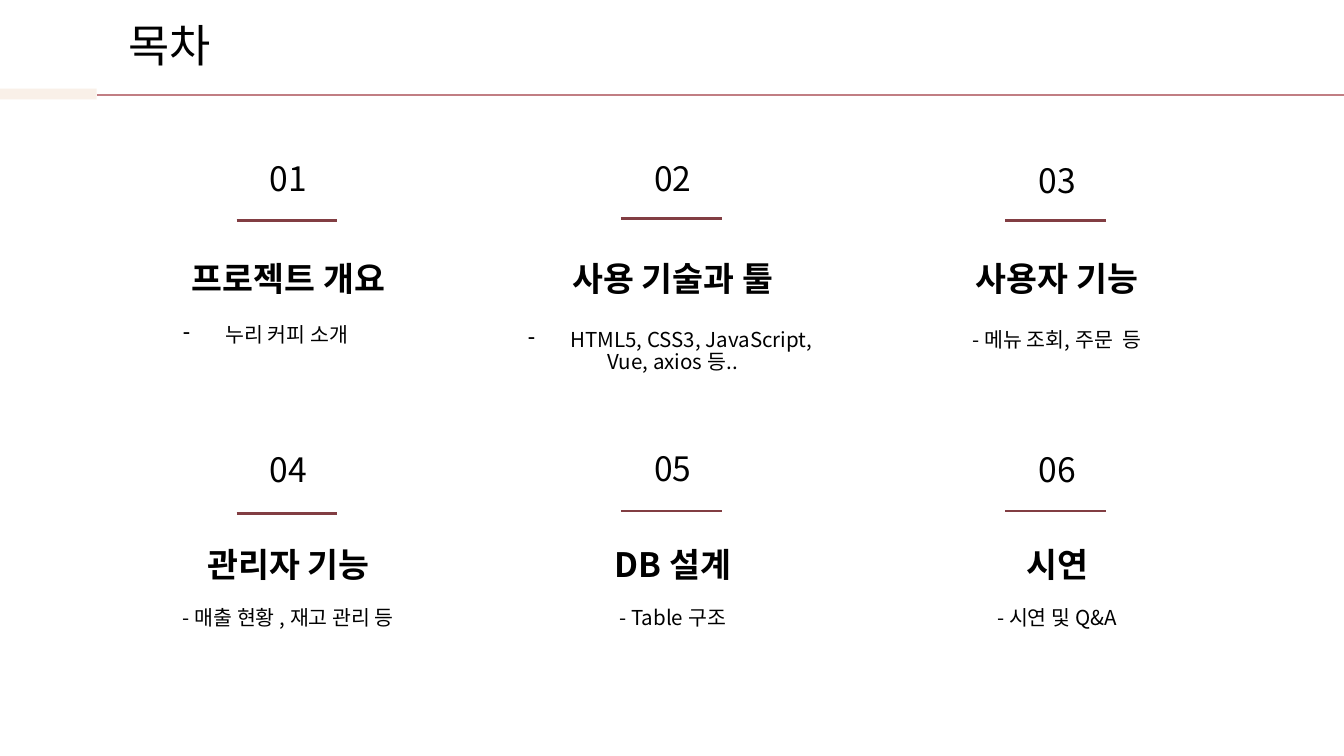
from lxml import etree
from pptx import Presentation
from pptx.dml.color import RGBColor
from pptx.enum.shapes import MSO_CONNECTOR, MSO_SHAPE
from pptx.enum.text import MSO_ANCHOR, PP_ALIGN
from pptx.oxml.ns import qn
from pptx.util import Pt

CENTER = PP_ALIGN.CENTER
TOP = MSO_ANCHOR.TOP
STRAIGHT = MSO_CONNECTOR.STRAIGHT
RECTANGLE = MSO_SHAPE.RECTANGLE

BLACK = RGBColor(0x00, 0x00, 0x00)
WINE = RGBColor(0x82, 0x3E, 0x43)
ROSE = RGBColor(0xC1, 0x7E, 0x83)
CREAM = RGBColor(0xF9, 0xF0, 0xE8)
FONT = "Noto Sans CJK KR"

TITLE_FORMAT = {"size": Pt(24), "bold": False}
NUMBER_FORMAT = {"size": Pt(18), "bold": False}
HEADING_FORMAT = {"size": Pt(18), "bold": True}
DETAIL_FORMAT = {"size": Pt(11), "bold": False}

# Contents: heading, detail lines, whether the detail is a bullet,
# top of the number, rule and detail
ITEMS = [
    ("프로젝트 개요", ["누리 커피 소개 "], True, 80.6, 118, 168.5),
    ("사용 기술과 툴", ["HTML5, CSS3, JavaScript, ", "Vue, axios 등.."], True, 80.6, 117.2, 170),
    ("사용자 기능", ["- 메뉴 조회, 주문  등"], False, 81.2, 118.3, 171.4),
    ("관리자 기능", ["- 매출 현황 , 재고 관리 등"], False, 236.2, 275, 320.4),
    ("DB 설계", ["- Table 구조"], False, 235.5, 273.8, 320.4),
    ("시연", ["- 시연 및 Q&A"], False, 236.2, 273.8, 320.4),
]
HEADING_TOPS = [134, 287.3]
COLUMNS = 3
COLUMN_LEFT, COLUMN_STEP, COLUMN_WIDTH = 57, 205.9, 195
NUMBER_WIDTH, RULE_WIDTH = 126, 54


def write_text(shape, box, lines, font_format, bullet=False):
    shape.left, shape.top, shape.width, shape.height = [Pt(length) for length in box]
    frame = shape.text_frame
    frame.word_wrap = True
    frame.vertical_anchor = TOP
    for side in ("left", "top", "right", "bottom"):
        setattr(frame, f"margin_{side}", Pt(7.2))
    frame.text = "\n".join(lines)
    for index, paragraph in enumerate(frame.paragraphs):
        paragraph.alignment = CENTER
        paragraph.line_spacing = 0.87
        paragraph.space_before = Pt(0)
        if bullet and index == 0:
            properties = paragraph._p.get_or_add_pPr()
            properties.set("marL", str(Pt(22.5)))
            properties.set("indent", str(Pt(-22.5)))
            etree.SubElement(properties, qn("a:buChar")).set("char", "-")
        for run in paragraph.runs:
            for name, value in font_format.items():
                setattr(run.font, name, value)
            run.font.color.rgb = BLACK
            run.font.name = FONT
            east_asian = etree.SubElement(run._r.get_or_add_rPr(), qn("a:ea"))
            east_asian.set("typeface", FONT)


def add_rule(left, right, top, color, width):
    line = slide.shapes.add_connector(STRAIGHT, Pt(left), Pt(top), Pt(right), Pt(top))
    line.line.color.rgb = color
    line.line.width = Pt(width)
    etree.SubElement(line._element.spPr, qn("a:effectLst"))


presentation = Presentation()
presentation.slide_width = Pt(720)
presentation.slide_height = Pt(405)
slide = presentation.slides.add_slide(presentation.slide_layouts[5])

# Title
write_text(slide.shapes.title, (40.3, 6.5, 100.8, 30.2), ["목차"], TITLE_FORMAT)

# Header band
add_rule(51.8, 720, 51.1, ROSE, 1)
band = slide.shapes.add_shape(RECTANGLE, Pt(0), Pt(47.5), Pt(51.8), Pt(5.8))
band.shadow.inherit = False
band.fill.solid()
band.fill.fore_color.rgb = CREAM
band.line.fill.background()

# Contents grid
for index, (heading, details, bullet, number_top, rule_top, detail_top) in enumerate(ITEMS):
    row, column = divmod(index, COLUMNS)
    left = COLUMN_LEFT + column * COLUMN_STEP
    number_left = left + (COLUMN_WIDTH - NUMBER_WIDTH) / 2
    rule_left = left + (COLUMN_WIDTH - RULE_WIDTH) / 2 - 0.7
    detail_width = 173 if index == 0 else COLUMN_WIDTH
    parts = [
        ((number_left, number_top, NUMBER_WIDTH, 51.8), [f"{index + 1:02d}"], NUMBER_FORMAT, False),
        ((left, HEADING_TOPS[row], COLUMN_WIDTH, 30.2), [heading], HEADING_FORMAT, False),
        ((left, detail_top, detail_width, 45), details, DETAIL_FORMAT, bullet),
    ]
    for box, lines, font_format, has_bullet in parts:
        text_box = slide.shapes.add_textbox(0, 0, 0, 0)
        write_text(text_box, box, lines, font_format, has_bullet)
    add_rule(rule_left, rule_left + RULE_WIDTH, rule_top, WINE, 1.5)

presentation.save("out.pptx")
